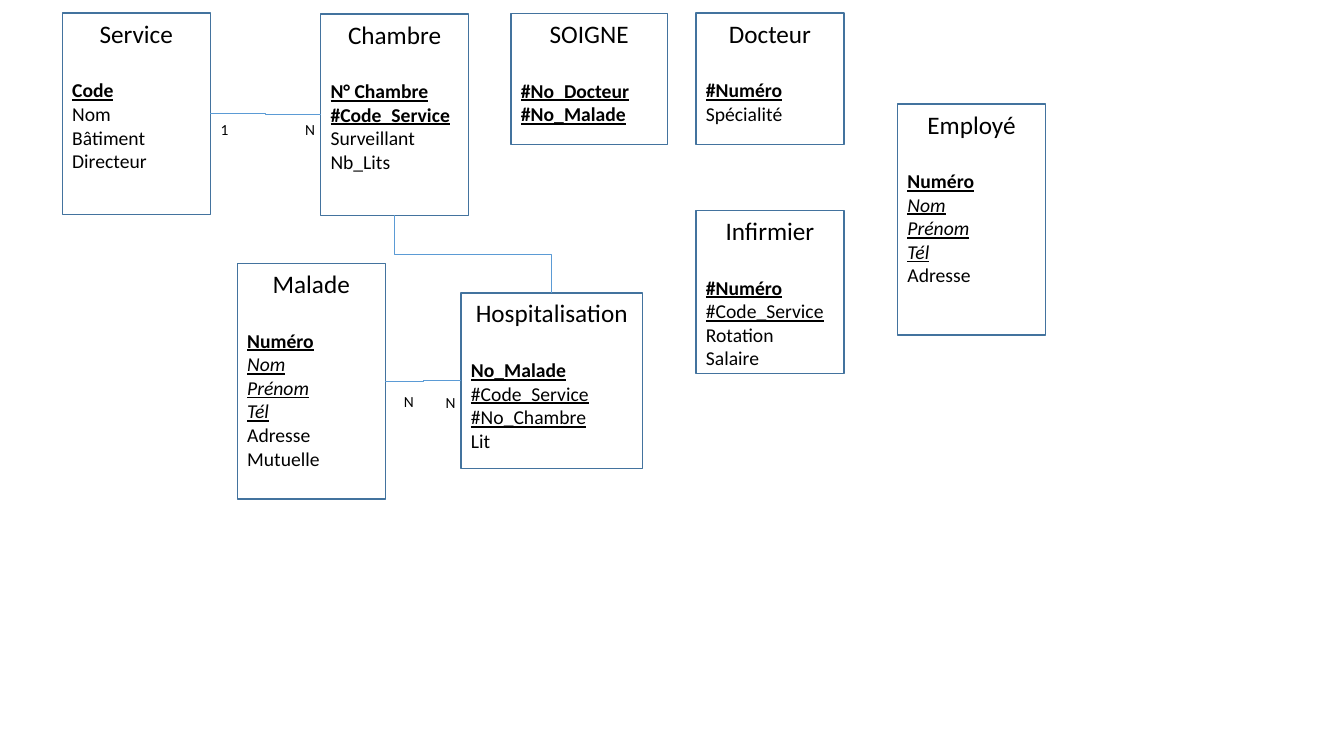
from dataclasses import dataclass
from enum import Enum

from lxml.etree import SubElement
from pptx import Presentation
from pptx.dml.color import RGBColor
from pptx.enum.shapes import MSO_CONNECTOR, MSO_SHAPE
from pptx.enum.text import MSO_ANCHOR, PP_ALIGN
from pptx.oxml.ns import qn
from pptx.util import Cm, Pt

COLORS = {"fill": "FFFFFF", "border": "43739E", "link": "5B9BD5", "text": "000000"}
FONT = "Calibri"
BOX_WIDTH = 3.73
TOP, LEFT, BOTTOM, RIGHT = range(4)


class Style(Enum):
    PLAIN = (False, False, False)
    KEY = (True, False, True)
    FOREIGN = (False, False, True)
    IDENTITY = (False, True, True)


@dataclass
class Entity:
    name: str
    left: float
    top: float
    height: float
    fields: list[tuple[str, Style]]
    width: float = BOX_WIDTH


@dataclass
class Link:
    start: str
    start_site: int
    end: str
    end_site: int


@dataclass
class Cardinality:
    text: str
    left: float
    top: float


PERSON = [("Numéro", Style.KEY), ("Nom", Style.IDENTITY), ("Prénom", Style.IDENTITY),
          ("Tél", Style.IDENTITY), ("Adresse", Style.PLAIN)]

ENTITIES = [
    Entity("Service", 1.57, 0.33, 5.08, [
        ("Code", Style.KEY), ("Nom", Style.PLAIN),
        ("Bâtiment", Style.PLAIN), ("Directeur", Style.PLAIN)]),
    Entity("Chambre", 8.08, 0.35, 5.08, [
        ("N° Chambre", Style.KEY), ("#Code_Service", Style.KEY),
        ("Surveillant", Style.PLAIN), ("Nb_Lits", Style.PLAIN)]),
    Entity("Employé", 22.62, 2.62, 5.82, PERSON),
    Entity("Docteur", 17.54, 0.33, 3.32, [
        ("#Numéro", Style.KEY), ("Spécialité", Style.PLAIN)]),
    Entity("Infirmier", 17.54, 5.3, 4.11, [
        ("#Numéro", Style.KEY), ("#Code_Service", Style.FOREIGN),
        ("Rotation", Style.PLAIN), ("Salaire", Style.PLAIN)]),
    Entity("Malade", 5.98, 6.64, 5.94, PERSON + [("Mutuelle", Style.PLAIN)]),
    Entity("Hospitalisation", 11.62, 7.38, 4.42, [
        ("No_Malade", Style.KEY), ("#Code_Service", Style.FOREIGN),
        ("#No_Chambre", Style.FOREIGN), ("Lit", Style.PLAIN)], 4.57),
    Entity("SOIGNE", 12.88, 0.34, 3.3, [
        ("#No_Docteur", Style.KEY), ("#No_Malade", Style.KEY)], 3.94),
]

LINKS = [
    Link("Chambre", LEFT, "Service", RIGHT),
    Link("Hospitalisation", LEFT, "Malade", RIGHT),
    Link("Chambre", BOTTOM, "Hospitalisation", TOP),
]

CARDINALITIES = [
    Cardinality("1", 5.31, 2.9),
    Cardinality("N", 7.44, 2.9),
    Cardinality("N", 9.93, 9.75),
    Cardinality("N", 10.98, 9.79),
]


def rgb(name: str) -> RGBColor:
    return RGBColor.from_string(COLORS[name])


def format_text(p, size: float, style: Style = Style.PLAIN) -> None:
    for r in p.runs:
        r.font.name = FONT
        r.font.size = Pt(size)
        r.font.color.rgb = rgb("text")
        r.font.bold, r.font.italic, r.font.underline = style.value


def draw_entity(s, entity: Entity):
    sp = s.shapes.add_shape(MSO_SHAPE.RECTANGLE, Cm(entity.left), Cm(entity.top),
                            Cm(entity.width), Cm(entity.height))
    sp.shadow.inherit = False
    sp.fill.solid()
    sp.fill.fore_color.rgb = rgb("fill")
    sp.line.color.rgb = rgb("border")
    sp.line.width = Pt(1)
    tf = sp.text_frame
    tf.word_wrap = True
    tf.vertical_anchor = MSO_ANCHOR.TOP
    tf.text = "\n".join([entity.name] + [text for text, _ in entity.fields])
    title, *rows = tf.paragraphs
    title.alignment = PP_ALIGN.CENTER
    title.space_after = Pt(21.5)
    format_text(title, 18)
    for p, (_, style) in zip(rows, entity.fields):
        p.alignment = PP_ALIGN.LEFT
        format_text(p, 14, style)
    return sp


def turn_vertical(connector) -> None:
    left, top = connector.left, connector.top
    width, height = connector.width, connector.height
    connector.left = left + (width - height) // 2
    connector.top = top + (height - width) // 2
    connector.width, connector.height = height, width
    xfrm = connector._element.spPr.find(qn("a:xfrm"))
    xfrm.set("rot", "16200000")
    xfrm.set("flipH", "1")


def draw_link(s, link: Link, boxes: dict) -> None:
    connector = s.shapes.add_connector(MSO_CONNECTOR.ELBOW, 0, 0, 0, 0)
    connector.begin_connect(boxes[link.start], link.start_site)
    connector.end_connect(boxes[link.end], link.end_site)
    if link.start_site == BOTTOM:
        turn_vertical(connector)
    connector.line.color.rgb = rgb("link")
    connector.line.width = Pt(0.5)
    SubElement(connector._element.spPr, qn("a:effectLst"))


def draw_cardinality(s, cardinality: Cardinality) -> None:
    sp = s.shapes.add_textbox(Cm(cardinality.left), Cm(cardinality.top), Cm(0.64), Cm(0.74))
    tf = sp.text_frame
    tf.word_wrap = True
    tf.text = cardinality.text
    format_text(tf.paragraphs[0], 11)


prs = Presentation()
prs.slide_width, prs.slide_height = Cm(33.87), Cm(19.05)
s = prs.slides.add_slide(prs.slide_layouts[6])
boxes = {entity.name: draw_entity(s, entity) for entity in ENTITIES}
for link in LINKS:
    draw_link(s, link, boxes)
for cardinality in CARDINALITIES:
    draw_cardinality(s, cardinality)
prs.save("out.pptx")
